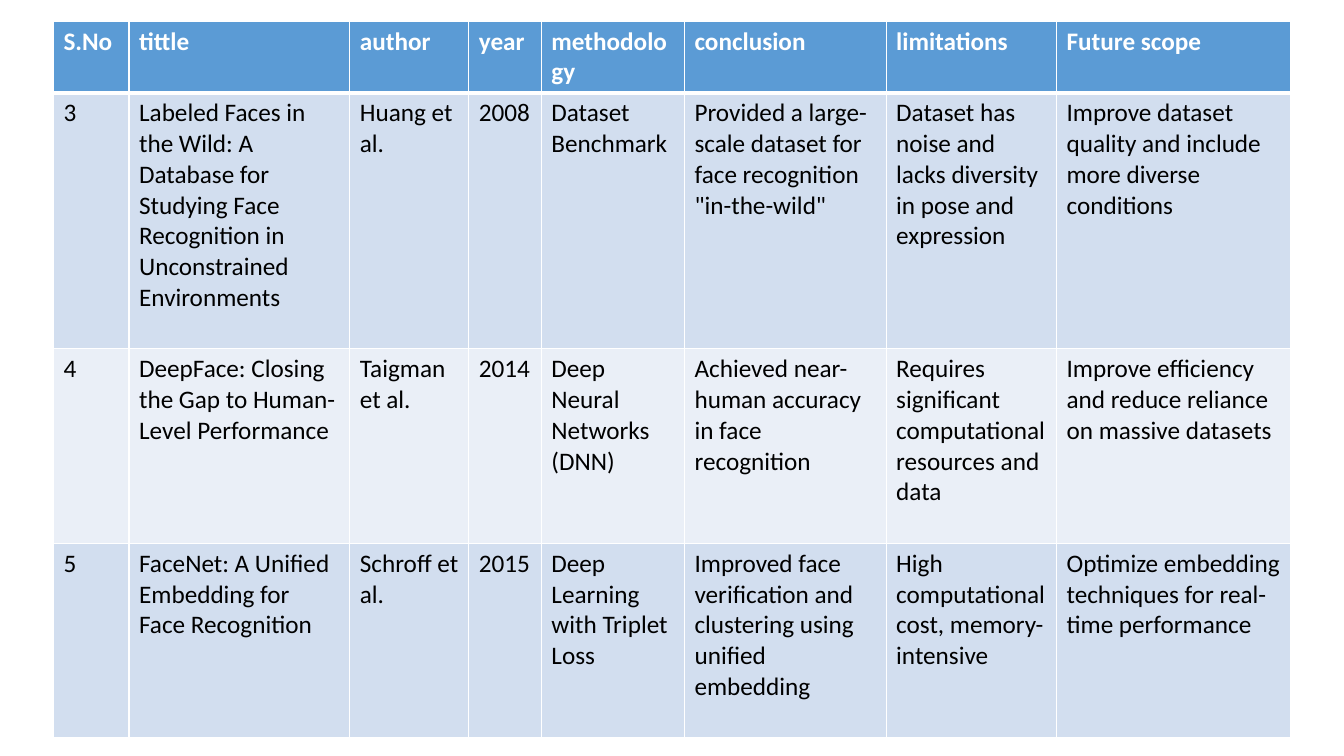
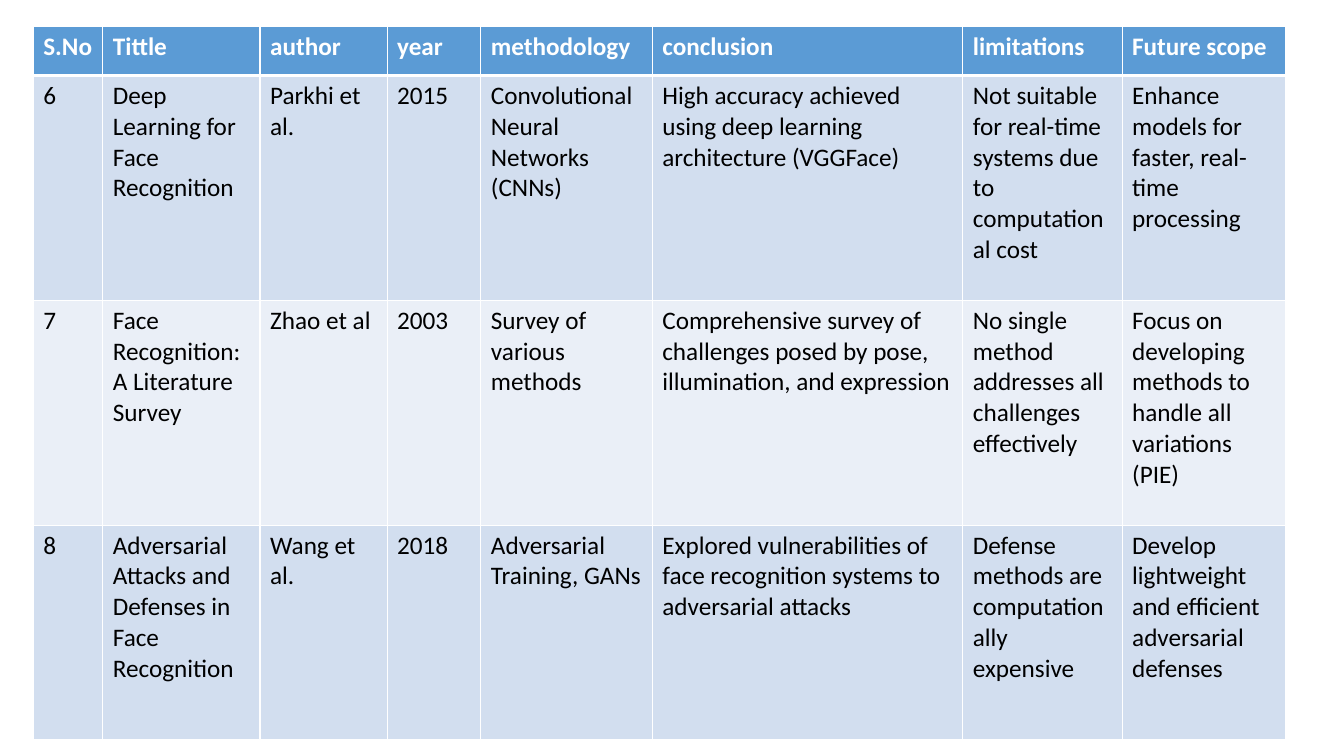
from lxml import etree
from pptx import Presentation
from pptx.dml.color import RGBColor
from pptx.oxml.ns import qn
from pptx.util import Inches, Pt

FONT = "Calibri"
TEXT_SIZE = 18
WHITE = "FFFFFF"
BLACK = "000000"
HEADER_BLUE = "5B9BD5"
BANDS = ("D2DEEF", "EAEFF7")
THIN, THICK = 1, 3

FIRST_PAPERS = [
    ["S.No", "tittle", "author", "year", "methodology", "conclusion",
     "limitations", "Future scope"],
    ["3",
     "Labeled Faces in the Wild: A Database for Studying Face Recognition "
     "in Unconstrained Environments",
     "Huang et al.", "2008", "Dataset Benchmark",
     'Provided a large-scale dataset for face recognition "in-the-wild"',
     "Dataset has noise and lacks diversity in pose and expression",
     "Improve dataset quality and include more diverse conditions"],
    ["4",
     "DeepFace: Closing the Gap to Human-Level Performance",
     "Taigman et al.", "2014", "Deep Neural Networks (DNN)",
     "Achieved near-human accuracy in face recognition",
     "Requires significant computational resources and data",
     "Improve efficiency and reduce reliance on massive datasets"],
    ["5",
     "FaceNet: A Unified Embedding for Face Recognition",
     "Schroff et al.", "2015", "Deep Learning with Triplet Loss",
     "Improved face verification and clustering using unified embedding",
     "High computational cost, memory-intensive",
     "Optimize embedding techniques for real-time performance"],
]

SECOND_PAPERS = [
    ["S.No", "Tittle", "author", "year", "methodology", "conclusion",
     "limitations", "Future scope"],
    ["6",
     "Deep Learning for Face Recognition",
     "Parkhi et al.", "2015", "Convolutional Neural Networks (CNNs)",
     "High accuracy achieved using deep learning architecture (VGGFace)",
     "Not suitable for real-time systems due to computational cost",
     "Enhance models for faster, real-time processing"],
    ["7",
     "Face Recognition: A Literature Survey",
     "Zhao et al", "2003", "Survey of various methods",
     "Comprehensive survey of challenges posed by pose, illumination, "
     "and expression",
     "No single method addresses all challenges effectively",
     "Focus on developing methods to handle all variations (PIE)"],
    ["8",
     "Adversarial Attacks and Defenses in Face Recognition",
     "Wang et al.", "2018", "Adversarial Training, GANs",
     "Explored vulnerabilities of face recognition systems to "
     "adversarial attacks",
     "Defense methods are computationally expensive",
     "Develop lightweight and efficient adversarial defenses"],
]


def color(hex_code):
    return RGBColor.from_string(hex_code)


def set_borders(cell, top, bottom):
    properties = cell._tc.get_or_add_tcPr()
    sides = (("lnL", THIN), ("lnR", THIN), ("lnT", top), ("lnB", bottom))
    for position, (side, width) in enumerate(sides):
        line = etree.Element(qn(f"a:{side}"), w=str(int(Pt(width))))
        fill = etree.SubElement(line, qn("a:solidFill"))
        etree.SubElement(fill, qn("a:srgbClr"), val=WHITE)
        properties.insert(position, line)


def style_cell(cell, text, row_index):
    is_header = row_index == 0
    cell.text_frame.text = text
    font = cell.text_frame.paragraphs[0].runs[0].font
    font.name = FONT
    font.size = Pt(TEXT_SIZE)
    font.bold = is_header
    font.color.rgb = color(WHITE if is_header else BLACK)
    cell.fill.solid()
    cell.fill.fore_color.rgb = color(
        HEADER_BLUE if is_header else BANDS[(row_index - 1) % len(BANDS)])
    set_borders(cell,
                top=THICK if row_index == 1 else THIN,
                bottom=THICK if is_header else THIN)


def add_survey_slide(deck, left, top, widths, heights, papers):
    page = deck.slides.add_slide(deck.slide_layouts[6])
    table = page.shapes.add_table(
        len(heights), len(widths), Inches(left), Inches(top),
        Inches(sum(widths)), Inches(sum(heights))).table
    table.first_row = False
    table.horz_banding = False
    for column, width in zip(table.columns, widths):
        column.width = Inches(width)
    for row_index, (row, height) in enumerate(zip(table.rows, heights)):
        row.height = Inches(height)
        for cell, text in zip(row.cells, papers[row_index]):
            style_cell(cell, text, row_index)


def main():
    deck = Presentation()
    deck.slide_width = Inches(13.33)
    deck.slide_height = Inches(7.5)
    add_survey_slide(
        deck, 0.53, 0.21,
        [0.75, 2.19, 1.18, 0.72, 1.42, 2, 1.69, 2.32],
        [0.71, 2.54, 1.93, 1.93], FIRST_PAPERS)
    add_survey_slide(
        deck, 0.33, 0.26,
        [0.69, 1.56, 1.26, 0.93, 1.7, 3.08, 1.58, 1.62],
        [0.49, 2.23, 2.23, 2.13], SECOND_PAPERS)
    deck.save("out.pptx")


if __name__ == "__main__":
    main()
